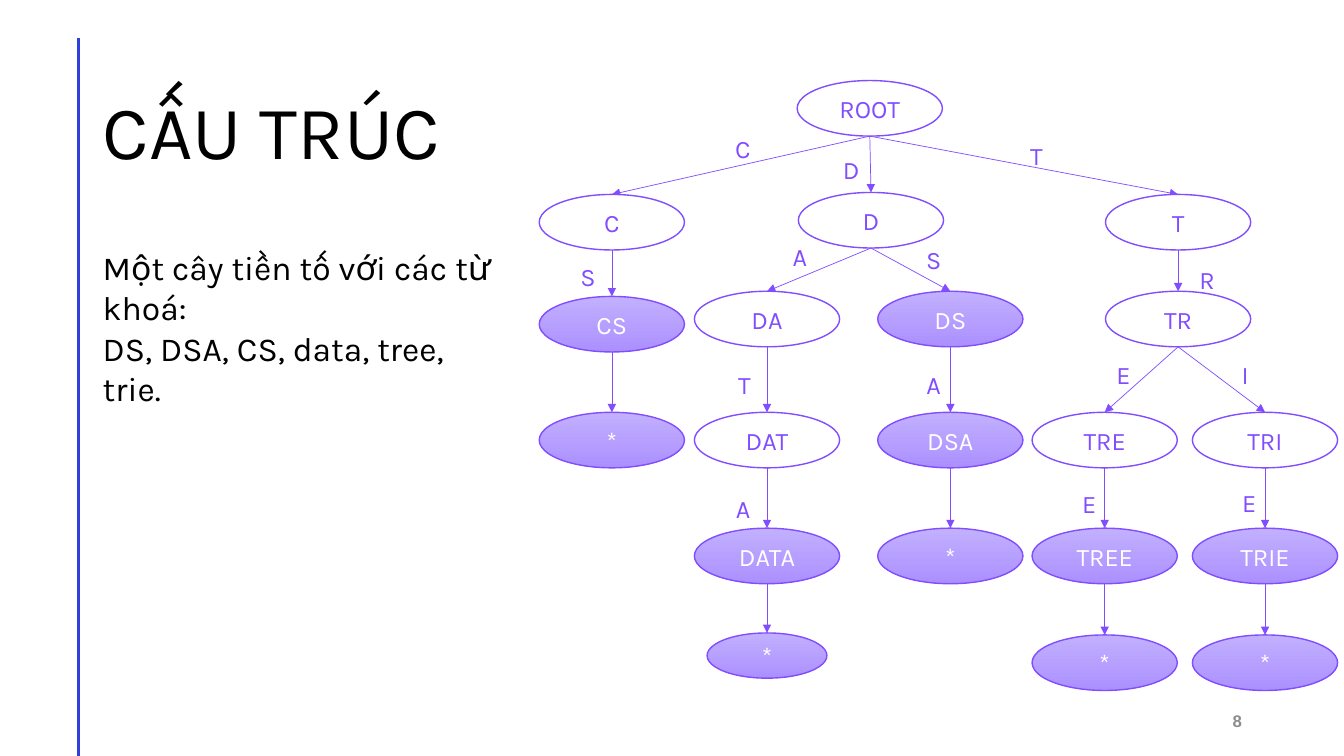
from dataclasses import dataclass

from lxml.etree import SubElement
from pptx import Presentation
from pptx.dml.color import RGBColor as RGB
from pptx.enum.shapes import MSO_CONNECTOR as LINE, MSO_SHAPE as SHAPE
from pptx.enum.text import MSO_ANCHOR as ANCHOR, MSO_AUTO_SIZE as FIT, PP_ALIGN as ALIGN
from pptx.oxml.ns import qn
from pptx.util import Cm, Pt


@dataclass(frozen=True)
class Theme:
    """Colours, fonts and type sizes of the slide."""
    ink: RGB = RGB(0, 0, 0)
    paper: RGB = RGB(255, 255, 255)
    rule: RGB = RGB(0x2F, 0x3F, 0xDB)
    violet: RGB = RGB(0x81, 0x4D, 0xFF)
    light: RGB = RGB(0xC2, 0xB0, 0xFF)
    deep: RGB = RGB(0xAB, 0x90, 0xFF)
    grey: RGB = RGB(0x8C, 0x8C, 0x8C)
    font: str = "Karla"
    number_font: str = "Arial"
    title: int = 54
    body: int = 24
    node: int = 18
    number: int = 12


T = Theme()
NODE_W, NODE_H = 3.66, 1.4
SMALL_W, SMALL_H = 3.02, 1.14
LABEL = 0.8
KEYWORDS = {"DS", "DSA", "CS", "DATA", "TREE", "TRIE"}
NODES = {
    "": (8.33, 0),
    "C": (1.83, 2.87), "CS": (1.83, 5.44), "CS*": (1.83, 8.36),
    "D": (8.36, 2.82),
    "DA": (5.74, 5.31), "DAT": (5.74, 8.36), "DATA": (5.74, 11.28), "DATA*": (5.74, 13.92),
    "DS": (10.36, 5.31), "DSA": (10.36, 8.36), "DSA*": (10.36, 11.28),
    "T": (16.1, 2.87), "TR": (16.1, 5.31),
    "TRE": (14.25, 8.36), "TREE": (14.25, 11.28), "TREE*": (14.25, 13.97),
    "TRI": (18.29, 8.36), "TRIE": (18.29, 11.28), "TRIE*": (18.29, 13.97),
}
LABELS = {
    "C": (5.13, 1.71), "CS": (1.23, 4.94), "D": (7.86, 2.25),
    "DA": (6.57, 4.43), "DAT": (5.17, 7.66), "DATA": (5.14, 10.78),
    "DS": (9.94, 4.51), "DSA": (9.94, 7.66),
    "T": (12.53, 1.89), "TR": (16.83, 5.02),
    "TRE": (14.72, 7.4), "TREE": (13.86, 10.66),
    "TRI": (17.79, 7.4), "TRIE": (17.89, 10.63),
}


def write(tf, lines, size, color, font=T.font, align=ALIGN.LEFT, anchor=ANCHOR.TOP, bold=False):
    """Fill a text frame with formatted paragraphs."""
    tf.text = "\n".join(lines)
    tf.auto_size, tf.vertical_anchor = FIT.NONE, anchor
    for p in tf.paragraphs:
        p.alignment = align
        for r in p.runs:
            f = r.font
            f.size, f.name, f.bold = Pt(size), font, bold
            f.color.rgb = color


def add_line(slide, start, end, color, width, arrow=False):
    """Draw a straight line between two points in centimetres."""
    cx = slide.shapes.add_connector(LINE.STRAIGHT, *map(Cm, start + end))
    cx.line.color.rgb, cx.line.width = color, Pt(width)
    if arrow:
        SubElement(cx.line._get_or_add_ln(), qn("a:tailEnd"), type="triangle")
    SubElement(cx._element.spPr, qn("a:effectLst"))


def add_title(slide, text, x, y, w, h):
    """Place and format the title placeholder."""
    sp = slide.shapes.title
    sp.left, sp.top, sp.width, sp.height = map(Cm, (x, y, w, h))
    write(sp.text_frame, [text], T.title, T.ink, anchor=ANCHOR.BOTTOM)
    sp.text_frame.paragraphs[0].line_spacing = 0.9


def add_body(slide, lines, x, y, w, h):
    """Add the explanatory text."""
    tf = slide.shapes.add_textbox(*map(Cm, (x, y, w, h))).text_frame
    tf.word_wrap = True
    write(tf, lines, T.body, T.ink)


def add_number(slide, text, x, y, w, h):
    """Add the page number at the right of its box."""
    tf = slide.shapes.add_textbox(*map(Cm, (x, y, w, h))).text_frame
    tf.word_wrap = True
    write(tf, [text], T.number, T.grey, T.number_font, ALIGN.RIGHT, ANCHOR.MIDDLE, True)


def node_size(key):
    """Return the width and height of a node."""
    return (SMALL_W, SMALL_H) if key == "DATA*" else (NODE_W, NODE_H)


def add_node(slide, key, cx, y):
    """Draw one prefix, shaded when it completes a keyword."""
    w, h = node_size(key)
    sp = slide.shapes.add_shape(SHAPE.OVAL, *map(Cm, (cx - w / 2, y, w, h)))
    sp.shadow.inherit = False
    sp.line.color.rgb, sp.line.width = T.violet, Pt(1)
    final = key.endswith("*")
    shaded = final or key in KEYWORDS
    if shaded:
        sp.fill.gradient()
        sp.fill.gradient_angle = 270
        for stop, color in zip(sp.fill.gradient_stops, (T.light, T.deep)):
            stop.color.rgb = color
    else:
        sp.fill.solid()
        sp.fill.fore_color.rgb = T.paper
    text = "*" if final else key or "ROOT"
    write(sp.text_frame, [text], T.node, T.paper if shaded else T.violet,
          align=ALIGN.CENTER, anchor=ANCHOR.MIDDLE)


def add_label(slide, text, cx, cy):
    """Centre the letter of an edge on a point."""
    box = (cx - LABEL / 2, cy - LABEL / 2, LABEL, LABEL)
    tf = slide.shapes.add_textbox(*map(Cm, box)).text_frame
    tf.margin_left = tf.margin_right = tf.margin_top = tf.margin_bottom = 0
    write(tf, [text], T.node, T.violet, align=ALIGN.CENTER, anchor=ANCHOR.MIDDLE)


def add_trie(slide, x, y):
    """Draw the prefix tree; each parent is its child's key less one letter."""
    for key, (cx, top) in NODES.items():
        if key:
            parent = key[:-1]
            px, py = NODES[parent]
            start = (x + px, y + py + node_size(parent)[1])
            add_line(slide, start, (x + cx, y + top), T.violet, 0.5, arrow=True)
        add_node(slide, key, x + cx, y + top)
    for key, (cx, cy) in LABELS.items():
        add_label(slide, key[-1], x + cx, y + cy)


def main():
    """Build and save the slide."""
    prs = Presentation()
    prs.slide_width, prs.slide_height = Cm(33.87), Cm(19.05)
    slide = prs.slides.add_slide(prs.slide_layouts[5])
    add_line(slide, (1.98, 0.97), (1.98, 19.05), T.rule, 2)
    add_title(slide, "CẤU TRÚC", 2.34, 0.38, 29.21, 4.19)
    add_body(slide, ["Một cây tiền tố với các từ khoá:", "DS, DSA, CS, data, tree, trie."],
             2.34, 6.1, 10.29, 4.37)
    add_trie(slide, 13.59, 2.03)
    add_number(slide, "8", 23.93, 17.65, 7.62, 1.02)
    prs.save("out.pptx")


if __name__ == "__main__":
    main()
